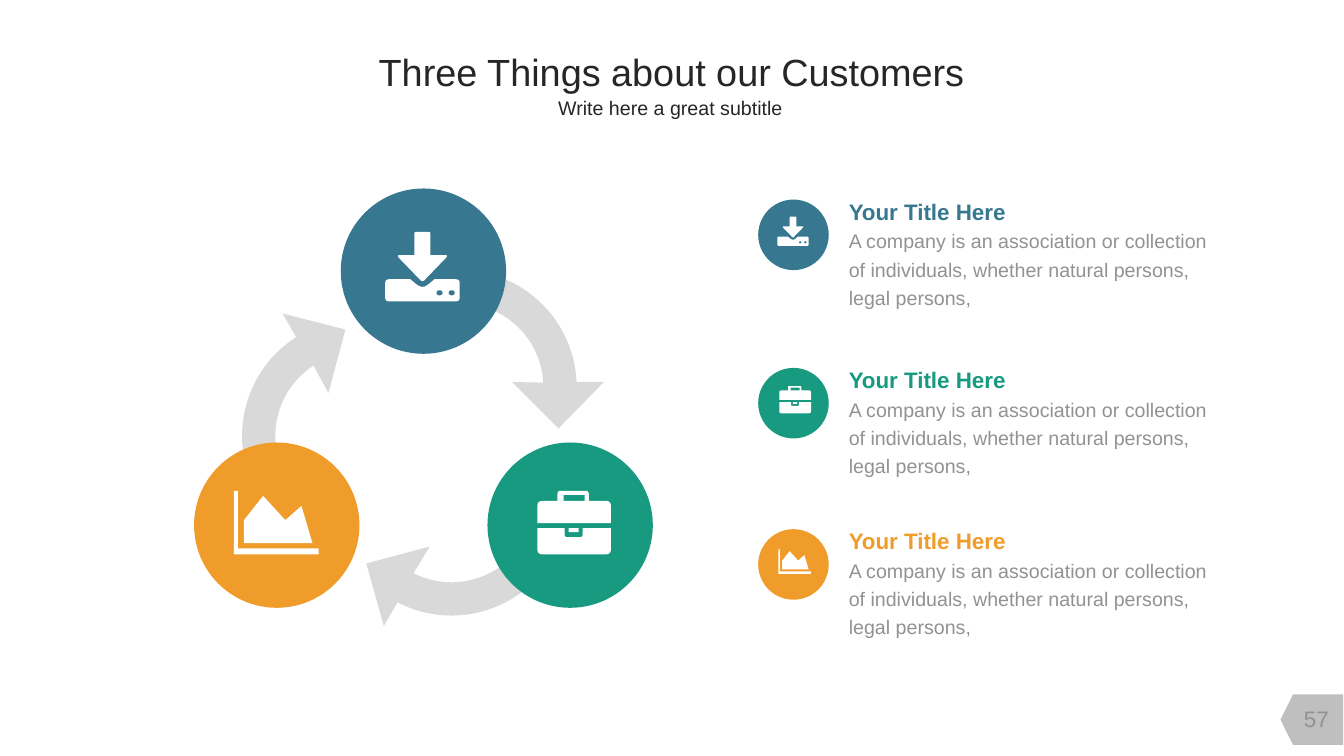
from math import cos, sin, radians, hypot
from pptx import Presentation
from pptx.dml.color import RGBColor
from pptx.enum.shapes import MSO_SHAPE
from pptx.enum.text import MSO_ANCHOR, MSO_AUTO_SIZE, PP_ALIGN
from pptx.util import Inches, Pt

CELL = Inches(0.01)
COLS, ROWS = 1333, 750
BLUE, GREEN, GOLD = "377790", "189A80", "F09C2A"
PALE, GRAY, DARK, WHITE = "D9D9D9", "929292", "262626", "FFFFFF"

deck = Presentation()
deck.slide_width, deck.slide_height = COLS * CELL, ROWS * CELL
slide = deck.slides.add_slide(deck.slide_layouts[5])
shapes = slide.shapes
fills = []


def draw(loops, left, top, scale):
    pen = None
    for loop in loops:
        dots = []
        for i, (x, y, *bend) in enumerate(loop):
            if not bend:
                dots.append((x, y))
                continue
            ends = []
            for near in (loop[i - 1], loop[(i + 1) % len(loop)]):
                dx, dy = near[0] - x, near[1] - y
                part = bend[0] / hypot(dx, dy)
                ends.append((x + dx * part, y + dy * part))
            (ax, ay), (bx, by) = ends
            for t in (0, 0.25, 0.5, 0.75, 1):
                u = 1 - t
                dots.append((u * u * ax + 2 * u * t * x + t * t * bx,
                             u * u * ay + 2 * u * t * y + t * t * by))
        dots = [(round((left + x * scale) * CELL), round((top + y * scale) * CELL))
                for x, y in dots]
        if pen:
            pen.move_to(*dots[0])
        else:
            pen = shapes.build_freeform(*dots[0], scale=1.0)
        pen.add_line_segments(dots[1:], close=True)
    return pen.convert_to_shape()


def write(shape, lines, form, space=1.0, align=PP_ALIGN.CENTER):
    frame = shape.text_frame
    base = dict(word_wrap=True, auto_size=MSO_AUTO_SIZE.NONE,
                vertical_anchor=MSO_ANCHOR.MIDDLE)
    for key, value in {**base, **form}.items():
        setattr(frame, key, value)
    for i, (text, size, bold, color) in enumerate(lines):
        para = frame.add_paragraph() if i else frame.paragraphs[0]
        para.alignment, para.line_spacing = align, space
        run = para.add_run()
        run.text = text
        for key, value in dict(name="Arial", size=Pt(size), bold=bold).items():
            setattr(run.font, key, value)
        run.font.color.rgb = RGBColor.from_string(color)


wide = dict(margin_left=13 * CELL, margin_right=13 * CELL,
            margin_top=7 * CELL, margin_bottom=7 * CELL)
title = shapes.title
for key, value in dict(left=288, top=41, width=756, height=59).items():
    setattr(title, key, value * CELL)
write(title, [("Three Things about our Customers", 27, False, DARK)], wide)
sub = shapes.add_textbox(*(n * CELL for n in (407, 88, 516, 37)))
write(sub, [("Write here a great subtitle", 14, False, DARK)], wide)

tag = shapes.add_shape(MSO_SHAPE.FLOWCHART_OFFPAGE_CONNECTOR,
                       *(n * CELL for n in (1276, 683, 50, 62)))
tag.rotation = 90
fills.append((tag, "BFBFBF"))
page = shapes.add_textbox(*(n * CELL for n in (1272, 693, 67, 40)))
write(page, [("57", 16, False, GRAY)], {})

hub_x, hub_y, ring = 420, 437, 168
arc = [radians(a) for a in range(-90, 0, 3)] + [radians(-2.5)]
arrow = [(456 + 116 * cos(a), 384 + 116 * sin(a)) for a in arc]
arrow += [(599, 379), (554, 425), (508, 379)]
arrow += [(456 + 83 * cos(a), 384 + 83 * sin(a)) for a in arc[:-1][::-1]]
for turn in (0, 120, 240):
    c, s = cos(radians(turn)), sin(radians(turn))
    spun = [((x - hub_x) * c - (y - hub_y) * s, (x - hub_x) * s + (y - hub_y) * c)
            for x, y in arrow]
    fills.append((draw([spun], hub_x, hub_y, 1), PALE))

load = [
    [(0, 47, 4), (25, 47), (31, 52), (37, 56, 5), (43, 52), (49, 47),
     (74, 47, 4), (74, 69, 4), (0, 69, 4)],
    [(29, 0, 2), (45, 0, 2), (45, 23), (63, 23, 4), (37, 50, 3), (11, 23, 4), (29, 23)],
] + [[(x, 58, 2.5), (x + 6, 58, 2.5), (x + 6, 63, 2.5), (x, 63, 2.5)] for x in (51, 63)]
case = [
    [(0, 32), (0, 10, 5), (20, 10), (20, 0, 3), (51, 0, 3), (51, 10), (73, 10, 5), (73, 32)],
    [(0, 37), (27, 37), (27, 46, 3), (45, 46, 3), (45, 37), (73, 37), (73, 63, 5), (0, 63, 5)],
    [(26, 4), (47, 4), (47, 10), (26, 10)],
    [(31, 37), (41, 37), (41, 41), (31, 41)],
]
chart = [
    [(84, 63), (0, 63), (0, 0), (4, 0), (4, 57), (84, 57)],
    [(78, 52), (10, 52), (10, 29), (29, 5), (51, 29), (67, 15)],
]
topics = [
    (BLUE, load, -90, (382, 230), (771, 215), 0.42, 198),
    (GREEN, case, 30, (533, 487), (773, 383), 0.43, 365),
    (GOLD, chart, 150, (232, 487), (772, 545), 0.385, 525),
]
body = ("A company is an association or collection of individuals, "
        "whether natural persons, legal persons,")
for color, icon, turn, big, small, scale, top in topics:
    mid_x = hub_x + ring * cos(radians(turn))
    mid_y = hub_y + ring * sin(radians(turn))
    for x, y, size, spot, zoom in ((mid_x - 82, mid_y - 82, 164, big, 1),
                                   (752, top, 70, small, scale)):
        disc = shapes.add_shape(MSO_SHAPE.OVAL, *(round(n * CELL) for n in (x, y, size, size)))
        fills += [(disc, color), (draw(icon, *spot, zoom), WHITE)]
    note = shapes.add_textbox(*(n * CELL for n in (832, top - 12, 386, 127)))
    write(note, [("Your Title Here", 16, True, color), (body, 14, False, GRAY)],
          dict(vertical_anchor=MSO_ANCHOR.TOP), 1.2, PP_ALIGN.LEFT)

for shape, color in fills:
    shape.shadow.inherit = False
    shape.fill.solid()
    shape.fill.fore_color.rgb = RGBColor.from_string(color)
    shape.line.fill.background()

deck.save("out.pptx")
